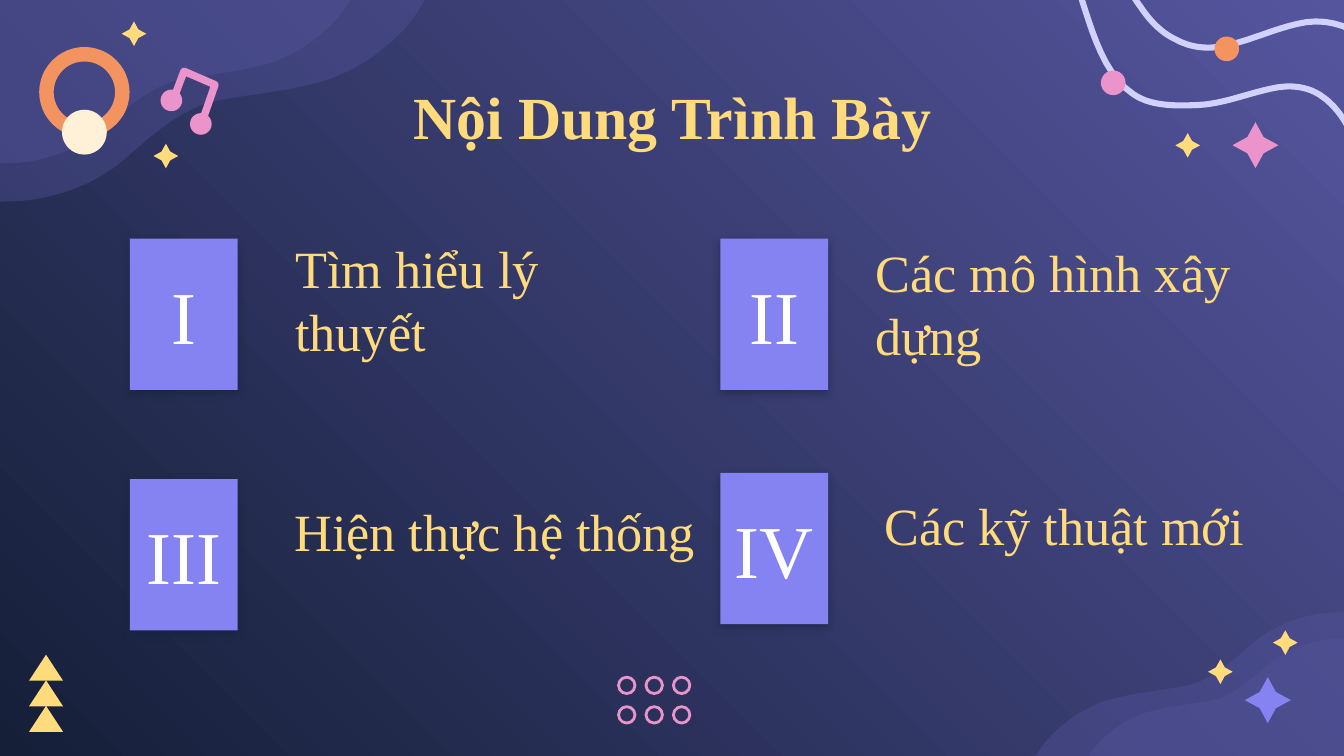
from dataclasses import dataclass

from lxml import etree
from pptx import Presentation
from pptx.dml.color import RGBColor
from pptx.enum import shapes, text
from pptx.oxml import ns
from pptx.util import Pt


@dataclass(frozen=True)
class Theme:
    font: str = "Times New Roman"
    title_size: int = 32
    item_size: int = 28
    number_size: int = 40
    night: RGBColor = RGBColor.from_string("151F38")
    indigo: RGBColor = RGBColor.from_string("55559E")
    violet: RGBColor = RGBColor.from_string("8583F2")
    lavender: RGBColor = RGBColor.from_string("D2D1FC")
    yellow: RGBColor = RGBColor.from_string("FFDB7C")
    orange: RGBColor = RGBColor.from_string("F29360")
    pink: RGBColor = RGBColor.from_string("EB93CB")
    cream: RGBColor = RGBColor.from_string("FFF1D7")
    white: RGBColor = RGBColor.from_string("FFFFFF")


theme = Theme()
deck = Presentation()
deck.slide_width, deck.slide_height = Pt(720), Pt(405)
page = deck.slides.add_slide(deck.slide_layouts[4])

backdrop = page.background.fill
backdrop.gradient()
backdrop.gradient_angle = 45
for stop, color in zip(backdrop.gradient_stops, (theme.night, theme.indigo)):
    stop.color.rgb = color


def add_preset(kind, left, top, width, height, fill=None, adjust=None):
    shape = page.shapes.add_shape(kind, Pt(left), Pt(top), Pt(width), Pt(height))
    shape.shadow.inherit = False
    shape.line.fill.background()
    if fill is None:
        shape.fill.background()
    else:
        shape.fill.solid()
        shape.fill.fore_color.rgb = fill
    if adjust is not None:
        shape.adjustments[0] = adjust
    return shape


def add_curve(start, curves, scale=(1, 1), origin=(0, 0), corner=None, steps=10):
    points = [start]
    for a, b, c in curves:
        p = points[-1]
        for step in range(1, steps + 1):
            t = step / steps
            weights = ((1 - t) ** 3, 3 * t * (1 - t) ** 2, 3 * t * t * (1 - t), t ** 3)
            points.append(tuple(
                sum(w * q[axis] for w, q in zip(weights, (p, a, b, c))) for axis in (0, 1)))
    if corner:
        points.append(corner)
    placed = [(Pt(origin[0] + x * scale[0]), Pt(origin[1] + y * scale[1])) for x, y in points]
    builder = page.shapes.build_freeform(*placed[0], scale=1.0)
    builder.add_line_segments(placed[1:], close=corner is not None)
    shape = builder.convert_to_shape()
    shape.shadow.inherit = False
    return shape


wave = [
    ((20, 108.5), (41, 103), (57.6, 92.2)),
    ((65.5, 87.1), (72.7, 79.9), (80.6, 73.4)),
    ((89.3, 66.2), (97.9, 60.5), (108, 56.2)),
    ((118.8, 52.6), (131, 51.8), (142.6, 49.7)),
    ((153.4, 48.2), (164.9, 46.1), (176.4, 42.5)),
    ((185.8, 38.9), (197.3, 33.1), (204.5, 26.6)),
    ((213.1, 20.2), (222, 10.8), (227.5, 0)),
]
for x, y, ratio in ((0, 0, 1), (0, -2, 0.83), (720, 406.8, -0.73), (720, 408.2, -0.61)):
    hill = add_curve((0, 108), wave, (ratio, ratio), (x, y), corner=(0, 0))
    hill.line.fill.background()
    hill.fill.solid()
    hill.fill.fore_color.rgb = theme.indigo
    tint = hill.fill._xPr.find(".//" + ns.qn("a:srgbClr"))
    etree.SubElement(tint, ns.qn("a:alpha"), val="38000")

upper_string = [
    ((602, -12.2), (605.5, -3.6), (611, 3.6)),
    ((616.3, 11.5), (622.4, 17.6), (630, 21.2)),
    ((637.2, 25.2), (646, 26.5), (654.5, 24.8)),
    ((669.6, 22.3), (684, 14.4), (699.8, 11.9)),
    ((716, 9.5), (733.7, 18), (743.4, 33.1)),
    ((755, 50.4), (756.7, 75.6), (748.1, 95)),
]
lower_string = [
    ((578, -5), (579, -2), (579.6, 0)),
    ((585.4, 18), (591.8, 40.3), (607, 50.4)),
    ((614.2, 55.4), (622.8, 56.2), (630.4, 56.5)),
    ((636.5, 56.5), (641.5, 56.5), (647.3, 55.8)),
    ((660.2, 54), (671.8, 49), (684.7, 46.8)),
    ((692.3, 45.7), (699.8, 46.4), (707, 50.8)),
    ((720, 59), (729.4, 77.8), (728.6, 96.5)),
]
note_corners = [(98.6, 38.2), (115.2, 45.4), (108.7, 64.1)]
note_stem = [(corner,) * 3 for corner in note_corners]
for start, curves, color, width, steps in (
    ((599, -21.6), upper_string, theme.lavender, 3.25, 10),
    ((577.1, -7.6), lower_string, theme.lavender, 3.25, 10),
    ((94, 50.4), note_stem, theme.pink, 4, 1),
):
    stroke = add_curve(start, curves, steps=steps)
    stroke.fill.background()
    stroke.line.color.rgb = color
    stroke.line.width = Pt(width)

add_preset(shapes.MSO_SHAPE.DONUT, 21, 25.2, 48.4, 48.4, theme.orange, 0.16)
for x, y, size, color in (
    (33.2, 58.8, 24, theme.cream),
    (650.6, 19.6, 13.2, theme.orange),
    (589.8, 37.8, 13.2, theme.pink),
    (86, 48, 11.6, theme.pink),
    (101.8, 60.6, 11.6, theme.pink),
):
    add_preset(shapes.MSO_SHAPE.OVAL, x, y, size, size, color)

for x, y, size, color in (
    (666.9, 362.8, 24.6, theme.violet),
    (660.3, 65.5, 24.6, theme.pink),
    (682, 337.7, 13.2, theme.yellow),
    (647.2, 353.3, 13.2, theme.yellow),
    (629.7, 71.3, 13.2, theme.yellow),
    (82.3, 77, 13.2, theme.yellow),
    (65.2, 11.5, 13.2, theme.yellow),
):
    add_preset(shapes.MSO_SHAPE.STAR_4_POINT, x, y, size, size, color, 0.25)

for row in range(3):
    add_preset(shapes.MSO_SHAPE.ISOSCELES_TRIANGLE, 15.6, 350.8 + 13.7 * row, 18.2, 13.9, theme.yellow)

for row in range(2):
    for column in range(3):
        ring = add_preset(shapes.MSO_SHAPE.OVAL, 331.4 + 14.7 * column, 362.8 + 15.8 * row, 8.8, 8.8)
        ring.line.color.rgb = theme.pink
        ring.line.width = Pt(1.5)

for number, x, y in (("I", 69.6, 127.9), ("II", 385.9, 127.9), ("III", 69.6, 256.7), ("IV", 385.9, 253.4)):
    box = add_preset(shapes.MSO_SHAPE.RECTANGLE, x, y, 57.8, 81, theme.violet)
    effects = box._element.spPr.find(ns.qn("a:effectLst"))
    shadow = etree.SubElement(effects, ns.qn("a:outerShdw"), blurRad=str(Pt(4.5)),
                              dist=str(Pt(1.5)), dir="5400000", algn="bl", rotWithShape="0")
    tint = etree.SubElement(shadow, ns.qn("a:srgbClr"), val=str(theme.night))
    etree.SubElement(tint, ns.qn("a:alpha"), val="50000")
    frame = box.text_frame
    frame.margin_left = frame.margin_right = frame.margin_top = frame.margin_bottom = Pt(7.2)
    frame.vertical_anchor = text.MSO_ANCHOR.MIDDLE
    para = frame.paragraphs[0]
    para.text = number
    para.alignment = text.PP_ALIGN.CENTER
    para.font.name = theme.font
    para.font.size = Pt(theme.number_size)
    para.font.color.rgb = theme.white

bodies = [holder for holder in page.placeholders if holder.placeholder_format.idx in (1, 2, 3, 4)]
entries = [
    ("Nội Dung Trình Bày", 56.9, 35.3, 607, 45.4),
    ("Tìm hiểu lý thuyết", 151, 162.7, 208.8, 38.2),
    ("Các mô hình xây dựng", 461.7, 165.1, 240.5, 38.2),
    ("Hiện thực hệ thống", 150.5, 270, 257.8, 38.2),
    ("Các kỹ thuật mới", 466.6, 267.1, 218.2, 38.2),
]
for holder, (words, x, y, width, height) in zip([page.shapes.title, *bodies], entries):
    heading = holder.placeholder_format.idx == 0
    holder.left, holder.top, holder.width, holder.height = Pt(x), Pt(y), Pt(width), Pt(height)
    frame = holder.text_frame
    frame.word_wrap = True
    frame.auto_size = text.MSO_AUTO_SIZE.NONE
    frame.margin_left = frame.margin_right = frame.margin_top = frame.margin_bottom = Pt(7.2)
    frame.vertical_anchor = text.MSO_ANCHOR.TOP if heading else text.MSO_ANCHOR.BOTTOM
    para = frame.paragraphs[0]
    para.text = words
    para.alignment = text.PP_ALIGN.CENTER if heading else text.PP_ALIGN.LEFT
    para.space_before = Pt(0)
    if not heading:
        props = para._p.get_or_add_pPr()
        props.set("marL", "0")
        props.set("indent", "0")
        etree.SubElement(props, ns.qn("a:buNone"))
    para.font.name = theme.font
    para.font.size = Pt(theme.title_size if heading else theme.item_size)
    para.font.bold = heading
    para.font.color.rgb = theme.yellow

deck.save("out.pptx")
